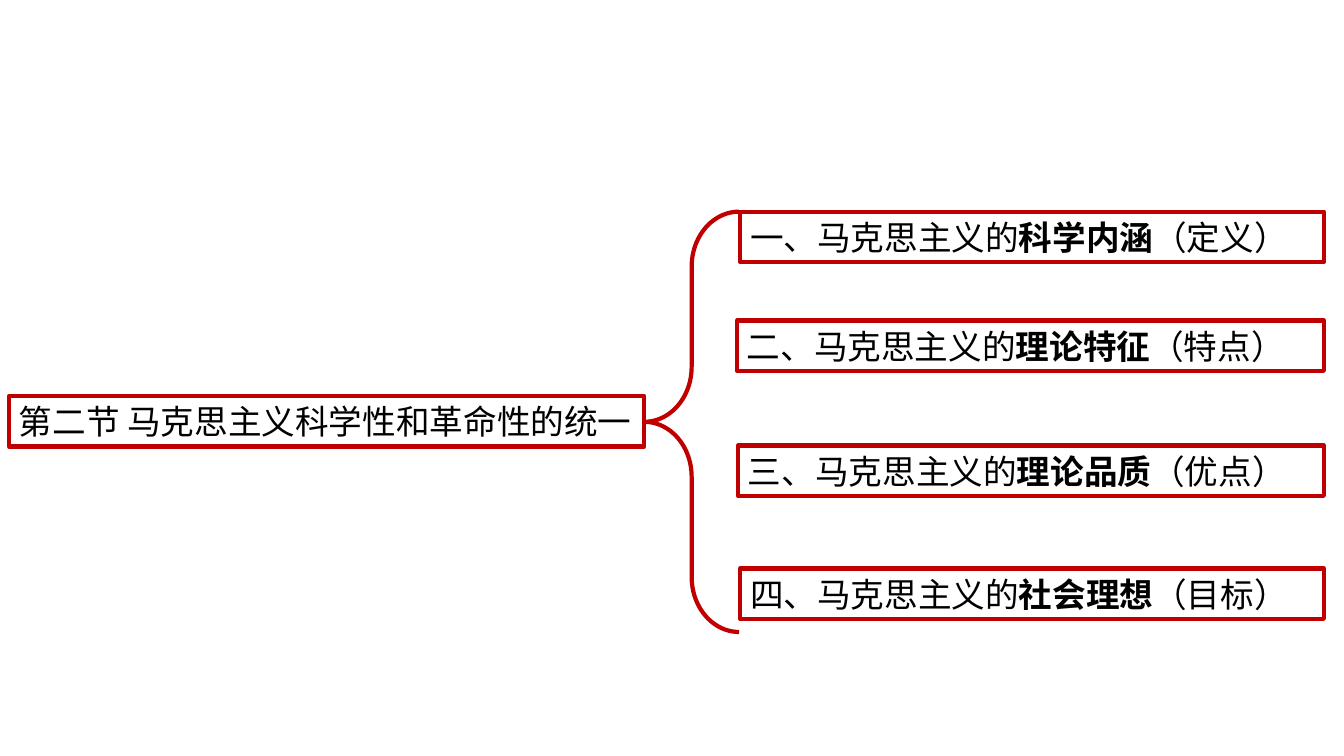
from lxml.etree import SubElement
from pptx import Presentation
from pptx.dml.color import RGBColor
from pptx.enum.shapes import MSO_SHAPE
from pptx.enum.text import MSO_AUTO_SIZE
from pptx.oxml.ns import qn
from pptx.util import Inches, Pt

SECTION = "第二节 马克思主义科学性和革命性的统一"
TOPICS = [
    ("一", "科学内涵", "定义", 7.34, 2.1),
    ("二", "理论特征", "特点", 7.31, 3.18),
    ("三", "理论品质", "优点", 7.32, 4.42),
    ("四", "社会理想", "目标", 7.34, 5.64),
]
FONT = "Noto Sans CJK SC"
RED = RGBColor(0xC0, 0x00, 0x00)
BLACK = RGBColor(0x00, 0x00, 0x00)
BOX_HEIGHT = 0.5
TOPIC_RIGHT = 13.13


def outline(sp):
    sp.fill.background()
    sp.line.color.rgb = RED
    sp.line.width = Pt(3)


def add_box(s, left, top, width, runs):
    sp = s.shapes.add_textbox(
        Inches(left), Inches(top), Inches(width), Inches(BOX_HEIGHT)
    )
    outline(sp)
    tf = sp.text_frame
    tf.word_wrap = True
    tf.auto_size = MSO_AUTO_SIZE.SHAPE_TO_FIT_TEXT
    p = tf.paragraphs[0]
    for text, bold in runs:
        r = p.add_run()
        r.text = text
        r.font.bold = bold
        r.font.name = FONT
        SubElement(r.font._element, qn("a:ea"), typeface=FONT)
    p.font.size = Pt(24)
    p.font.color.rgb = BLACK


def main():
    prs = Presentation()
    prs.slide_width = Inches(13.33)
    prs.slide_height = Inches(7.5)
    s = prs.slides.add_slide(prs.slide_layouts[6])

    add_box(s, 0.09, 3.93, 6.3, [(SECTION, False)])

    brace = s.shapes.add_shape(
        MSO_SHAPE.LEFT_BRACE, Inches(6.39), Inches(2.1), Inches(0.94), Inches(4.17)
    )
    brace.adjustments[0] = 0.58
    brace.adjustments[1] = 0.5
    brace.shadow.inherit = False
    outline(brace)

    for number, term, gloss, left, top in TOPICS:
        runs = [(f"{number}、马克思主义的", False), (term, True), (f"（{gloss}）", False)]
        add_box(s, left, top, TOPIC_RIGHT - left, runs)

    prs.save("out.pptx")


if __name__ == "__main__":
    main()
